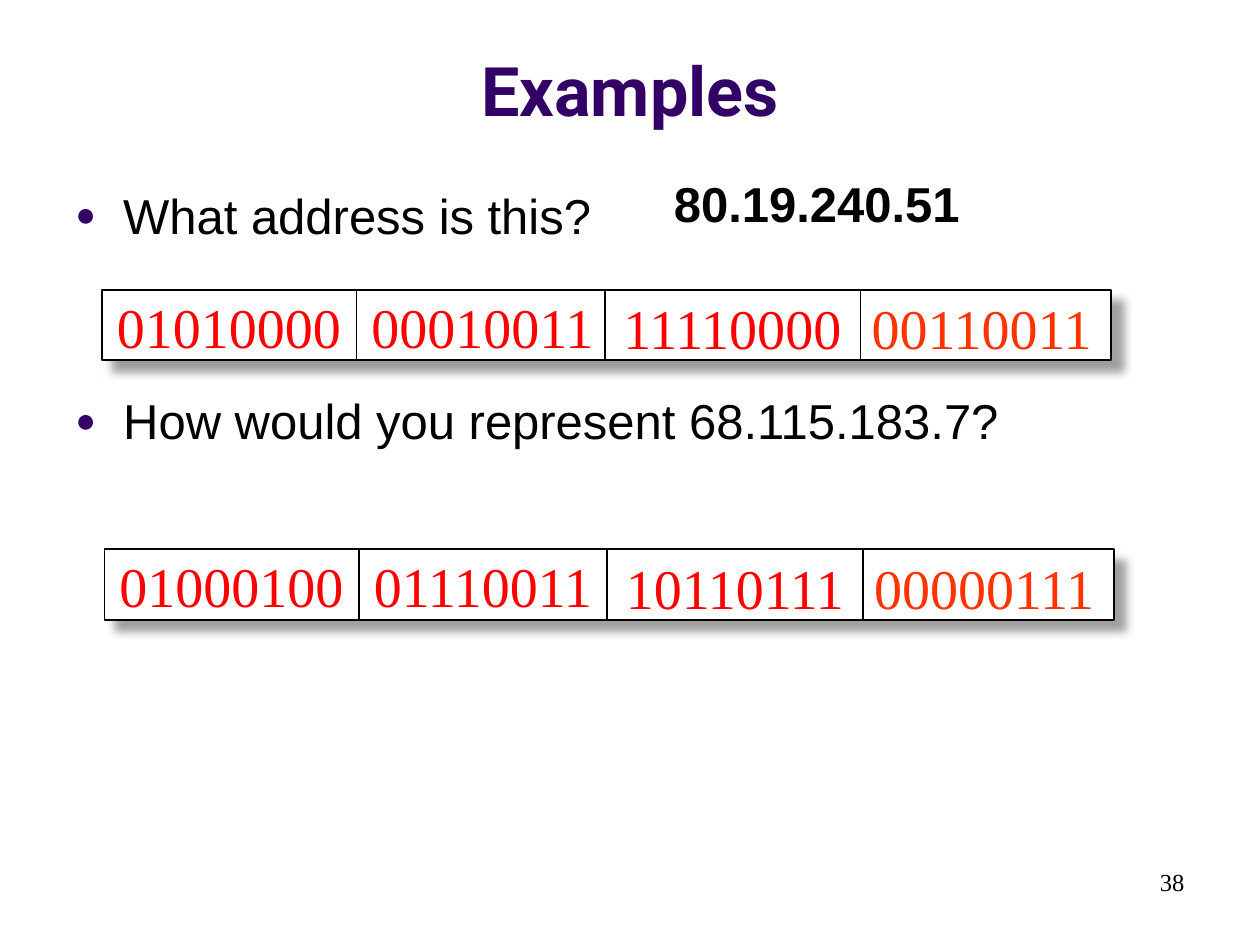
"""Build the slide of binary IP address examples."""
from dataclasses import dataclass

from lxml.etree import SubElement
from pptx import Presentation
from pptx.dml.color import RGBColor
from pptx.enum.shapes import MSO_CONNECTOR, MSO_SHAPE
from pptx.enum.text import MSO_ANCHOR, MSO_AUTO_SIZE, PP_ALIGN
from pptx.oxml.ns import qn
from pptx.util import Inches, Pt

COLORS = {
    "title": "330066",
    "text": "000000",
    "paper": "FFFFFF",
    "octet": "FF0000",
    "last": "FF3300",
    "shadow": "808080",
}
ROW_WIDTH, ROW_HEIGHT = 8.01, 0.56
DIVIDERS = (2.02, 3.99, 6.02)


@dataclass(frozen=True)
class OctetCell:
    left: float
    top: float
    color: str


@dataclass(frozen=True)
class AddressRow:
    left: float
    top: float
    octets: tuple[str, ...]


CELL_WIDTH, CELL_HEIGHT = 2.0, 0.64
CELLS = (
    OctetCell(0.02, -0.03, "octet"),
    OctetCell(2.04, -0.03, "octet"),
    OctetCell(4.04, -0.02, "octet"),
    OctetCell(6.01, -0.02, "last"),
)
ROWS = (
    AddressRow(0.81, 2.3, ("01010000", "00010011", "11110000", "00110011")),
    AddressRow(0.83, 4.36, ("01000100", "01110011", "10110111", "00000111")),
)


def rgb(color: str) -> RGBColor:
    return RGBColor.from_string(COLORS[color])


def add_text(shapes, left: float, top: float, width: float, height: float,
             *lines: str, size: float, font: str, color: str = "text",
             bold: bool = False, align=PP_ALIGN.LEFT, anchor=MSO_ANCHOR.TOP,
             wrap: bool = True, gap: float = 0):
    box = shapes.add_textbox(Inches(left), Inches(top), Inches(width), Inches(height))
    frame = box.text_frame
    frame.word_wrap = wrap
    frame.auto_size = MSO_AUTO_SIZE.NONE if wrap else MSO_AUTO_SIZE.SHAPE_TO_FIT_TEXT
    frame.vertical_anchor = anchor
    for index, line in enumerate(lines):
        paragraph = frame.add_paragraph() if index else frame.paragraphs[0]
        paragraph.alignment = align
        paragraph.space_before = Pt(gap if index else 0)
        run = paragraph.add_run()
        run.text = line
        run.font.size = Pt(size)
        run.font.name = font
        run.font.bold = bold
        run.font.color.rgb = rgb(color)
    return frame


def add_bullet(paragraph) -> None:
    properties = paragraph._p.get_or_add_pPr()
    properties.set("marL", str(Inches(0.38)))
    properties.set("indent", str(Inches(-0.38)))
    color = SubElement(properties, qn("a:buClr"))
    SubElement(color, qn("a:srgbClr"), val=COLORS["title"])
    SubElement(properties, qn("a:buSzPct"), val="70000")
    SubElement(properties, qn("a:buFont"), typeface="Arial")
    SubElement(properties, qn("a:buChar"), char="●")


def add_frame(shapes, row: AddressRow) -> None:
    frame = shapes.add_shape(MSO_SHAPE.RECTANGLE, Inches(row.left), Inches(row.top),
                             Inches(ROW_WIDTH), Inches(ROW_HEIGHT))
    frame.fill.solid()
    frame.fill.fore_color.rgb = rgb("paper")
    frame.line.color.rgb = rgb("text")
    frame.line.width = Pt(1)
    frame.shadow.inherit = False
    effects = frame._element.spPr.find(qn("a:effectLst"))
    shadow = SubElement(effects, qn("a:outerShdw"), blurRad=str(Pt(5)),
                        dist=str(Pt(8.5)), dir="2700000", algn="tl", rotWithShape="0")
    color = SubElement(shadow, qn("a:srgbClr"), val=COLORS["shadow"])
    SubElement(color, qn("a:alpha"), val="75000")


def add_divider(shapes, x: float, top: float) -> None:
    divider = shapes.add_connector(MSO_CONNECTOR.STRAIGHT, Inches(x), Inches(top),
                                   Inches(x), Inches(top + ROW_HEIGHT))
    divider.line.color.rgb = rgb("text")
    divider.line.width = Pt(1)
    SubElement(divider._element.spPr, qn("a:effectLst"))


def add_address_row(slide, row: AddressRow) -> None:
    shapes = slide.shapes.add_group_shape().shapes
    add_frame(shapes, row)
    for offset in DIVIDERS:
        add_divider(shapes, row.left + offset, row.top)
    for cell, octet in zip(CELLS, row.octets):
        add_text(shapes, row.left + cell.left, row.top + cell.top, CELL_WIDTH,
                 CELL_HEIGHT, octet, size=32, font="Times New Roman",
                 color=cell.color, wrap=False)


def main() -> None:
    deck = Presentation()
    deck.slide_width, deck.slide_height = Inches(10), Inches(7.5)
    slide = deck.slides.add_slide(deck.slide_layouts[6])
    add_text(slide.shapes, 0, 0.13, 10, 0.95, "Examples", size=39, font="Roboto",
             color="title", bold=True, align=PP_ALIGN.CENTER, anchor=MSO_ANCHOR.BOTTOM)
    questions = add_text(slide.shapes, 0.5, 1.42, 9.33, 5.29, "What address is this?",
                         "How would you represent 68.115.183.7?", size=28,
                         font="Arial", gap=84)
    for question in questions.paragraphs:
        add_bullet(question)
    add_text(slide.shapes, 7.17, 6.83, 2.33, 0.5, "38", size=14,
             font="Times New Roman", align=PP_ALIGN.RIGHT)
    for row in ROWS:
        add_address_row(slide, row)
    add_text(slide.shapes, 5.25, 1.33, 2.49, 0.57, "80.19.240.51", size=28,
             font="Arial", bold=True, wrap=False)
    deck.save("out.pptx")


main()
